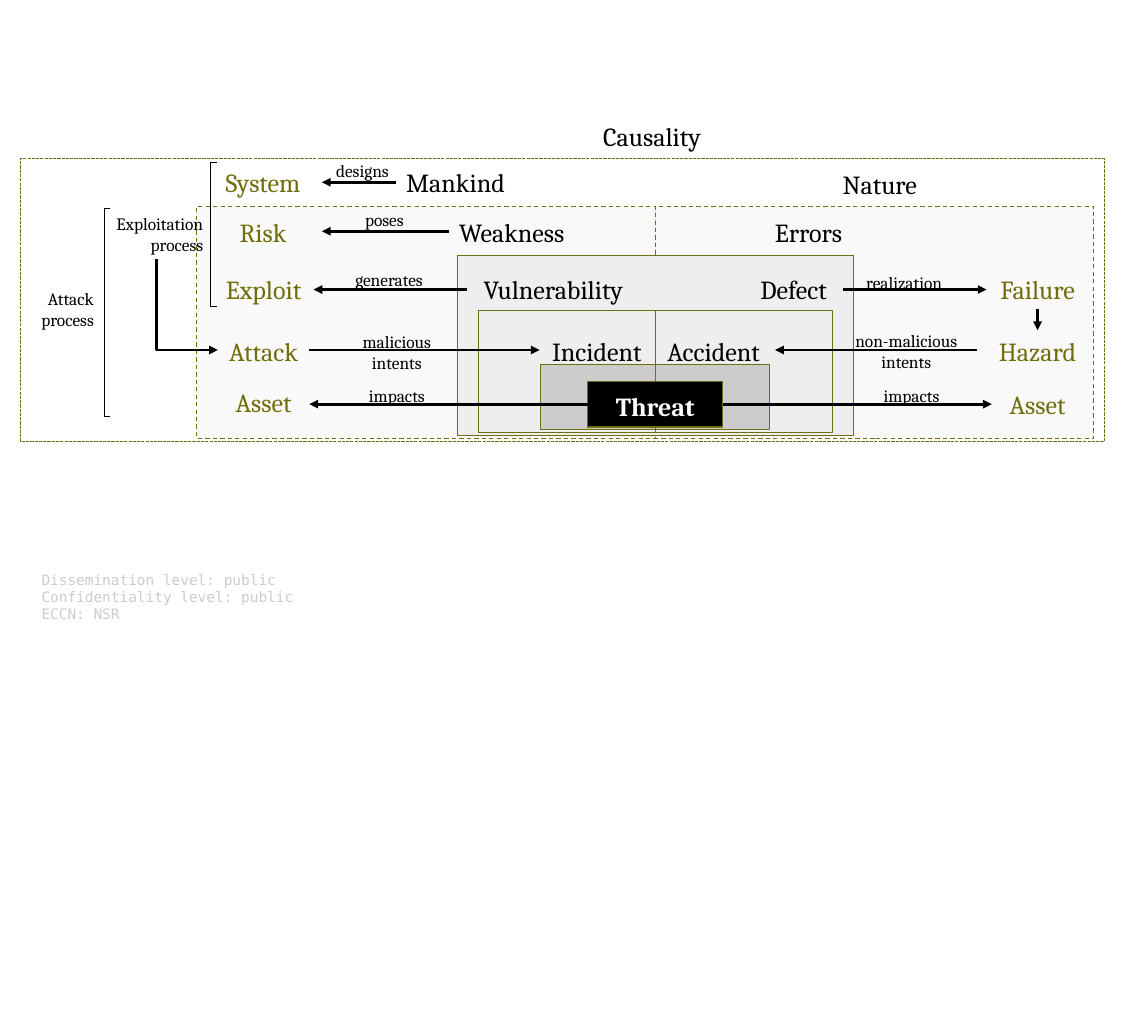
"""Build the causality diagram that links threat, weakness and error."""
from pptx import Presentation
from pptx.dml.color import RGBColor
from pptx.enum.dml import MSO_LINE as Dash
from pptx.enum.shapes import MSO_CONNECTOR as Link, MSO_SHAPE as Shape
from pptx.enum.text import MSO_ANCHOR as Anchor, MSO_AUTO_SIZE as Fit, PP_ALIGN as Align
from pptx.oxml.ns import qn
from pptx.util import Inches, Pt
from lxml.etree import SubElement

BLACK = RGBColor(0, 0, 0)
WHITE = RGBColor(255, 255, 255)
OLIVE = RGBColor(0x70, 0x6E, 0x0C)
PALE = RGBColor(0xF9, 0xF9, 0xF9)
LIGHT = RGBColor(0xEE, 0xEE, 0xEE)
GREY = RGBColor(0xCC, 0xCC, 0xCC)
LEFT, MID, RIGHT = Align.LEFT, Align.CENTER, Align.RIGHT
AXIS = 6.29
ROWS = TOP, RISK, FAULT, EVENT, ASSET = 1.55, 2.03, 2.58, 3.17, 3.66

deck = Presentation()
deck.slide_width, deck.slide_height = Inches(11.02), Inches(9.84)
slide = deck.slides.add_slide(deck.slide_layouts[5])
shapes = slide.shapes


def write(box, text, align, size=18, color=BLACK, font="Cambria", bold=False):
    """Fill a text box and format its runs."""
    frame = box.text_frame
    frame.text = text
    frame.word_wrap = True
    frame.auto_size = Fit.NONE
    frame.vertical_anchor = Anchor.TOP
    for line in frame.paragraphs:
        line.alignment = align
        for run in line.runs:
            run.font.size, run.font.name, run.font.bold = Pt(size), font, bold
            run.font.color.rgb = color


def arrow(kind, *ends):
    """Draw a black hairline with a triangle at its end."""
    link = shapes.add_connector(kind, *map(Inches, ends))
    link.line.color.rgb = BLACK
    link.line.width = 0
    tip = SubElement(link.line._get_or_add_ln(), qn("a:tailEnd"))
    tip.set("type", "triangle")
    SubElement(link._element.spPr, qn("a:effectLst"))
    return link


title = shapes.title
title.left, title.top, title.width, title.height = map(Inches, (AXIS - 0.6, 1.11, 1.2, 0.39))
write(title, "Causality", LEFT)

boxes = [
    (0.2, 1.52, 10.4, 2.72, WHITE, Dash.SQUARE_DOT),
    (1.89, 1.98, AXIS - 1.89, 2.23, PALE, Dash.DASH),
    (AXIS, 1.98, 4.21, 2.23, PALE, Dash.DASH),
    (AXIS - 1.9, 2.45, 3.8, 1.73, LIGHT, None),
]
for wide, top, high, fill in [(1.7, 2.98, 1.17, LIGHT), (1.1, 3.5, 0.62, GREY)]:
    boxes += [(left, top, wide, high, fill, None) for left in (AXIS - wide, AXIS)]
boxes.append((AXIS - 0.65, ASSET, 1.3, 0.44, BLACK, None))

for *area, fill, dash in boxes:
    box = shapes.add_shape(Shape.RECTANGLE, *map(Inches, area))
    box.shadow.inherit = False
    box.fill.solid()
    box.fill.fore_color.rgb = fill
    box.line.color.rgb = OLIVE
    box.line.width = 0
    if dash:
        box.line.dash_style = dash

for left, top, high in [(2.02, 1.56, 1.38), (1, 2, 2)]:
    right, base = left + 0.06, top + high
    path = shapes.build_freeform(Inches(right), Inches(top))
    points = [(left, top), (left, base), (right, base)]
    path.add_line_segments([(Inches(x), Inches(y)) for x, y in points], close=False)
    brace = path.convert_to_shape()
    brace.shadow.inherit = False
    brace.fill.background()
    brace.line.color.rgb = BLACK
    brace.line.width = 0

for start, end, level in [
    (3.8, 3.09, 1.75),
    (4.31, 3.09, 2.22),
    (4.48, 3.01, 2.78),
    (8.09, 9.47, 2.78),
    (2.97, 5.18, 3.36),
    (9.38, 7.44, 3.36),
    (5.64, 2.97, 3.88),
    (6.94, 9.52, 3.88),
]:
    arrow(Link.STRAIGHT, start, level, end, level)
arrow(Link.STRAIGHT, 9.96, 2.97, 9.96, 3.17)

bend = arrow(Link.ELBOW, 2.23, 2.63, 1.36, 3.22)
bend._element.spPr.find(qn("a:xfrm")).set("rot", str(270 * 60000))
bend._element.spPr.find(qn("a:prstGeom")).set("prst", "bentConnector2")

terms = [
    ("System", 1.97, TOP, 1.11, MID, OLIVE),
    ("Mankind", 3.8, TOP, 1.2, LEFT, BLACK),
    ("Nature", 7.99, 1.57, 1, LEFT, BLACK),
    ("Risk", 1.97, RISK, 1.11, MID, OLIVE),
    ("Weakness", 4.31, RISK, 1.3, LEFT, BLACK),
    ("Errors", 7.34, RISK, 0.94, LEFT, BLACK),
    ("Exploit", 2.05, FAULT, 0.96, MID, OLIVE),
    ("Vulnerability", 4.48, FAULT, 1.6, RIGHT, BLACK),
    ("Defect", 7.2, FAULT, 0.89, LEFT, BLACK),
    ("Failure", 9.47, FAULT, 0.98, MID, OLIVE),
    ("Attack", 2.09, EVENT, 0.88, MID, OLIVE),
    ("Incident", 5.18, EVENT, 1.1, MID, BLACK),
    ("Accident", 6.27, EVENT, 1.16, MID, BLACK),
    ("Hazard", 9.38, EVENT, 1.16, MID, OLIVE),
    ("Asset", 2.09, ASSET, 0.88, MID, OLIVE),
    ("Asset", 9.52, 3.68, 0.88, MID, OLIVE),
    ("Threat", AXIS - 0.58, 3.7, 1.16, MID, WHITE),
]
for text, left, top, wide, align, color in terms:
    box = shapes.add_textbox(*map(Inches, (left, top, wide, 0.39)))
    write(box, text, align, color=color, bold=text == "Threat")

notes = [
    ("designs", 2.98, 1.49, 1, MID),
    ("poses", 2.74, 1.96, 1.9, MID),
    ("generates", 3.03, 2.53, 1.41, MID),
    ("realization", 7.98, 2.56, 1.4, MID),
    ("malicious\nintents", 3.23, 3.13, 1.16, MID),
    ("non-malicious\nintents", 8.05, 3.12, 1.3, MID),
    ("impacts", 3.38, 3.65, 0.86, MID),
    ("impacts", 8.32, 3.65, 0.86, MID),
    ("Exploitation\nprocess", 0.95, 2, 1.1, RIGHT),
    ("Attack\nprocess", 0, 2.72, 1, RIGHT),
]
for text, left, top, wide, align in notes:
    box = shapes.add_textbox(*map(Inches, (left, top, wide, 0.49)))
    write(box, text, align, size=12)

level = shapes.add_textbox(*map(Inches, (0.3, 5.43, 5.81, 0.58)))
write(level, "Dissemination level: public\nConfidentiality level: public\nECCN: NSR",
      LEFT, size=10, color=GREY, font="DejaVu Sans Mono")

deck.save("out.pptx")
